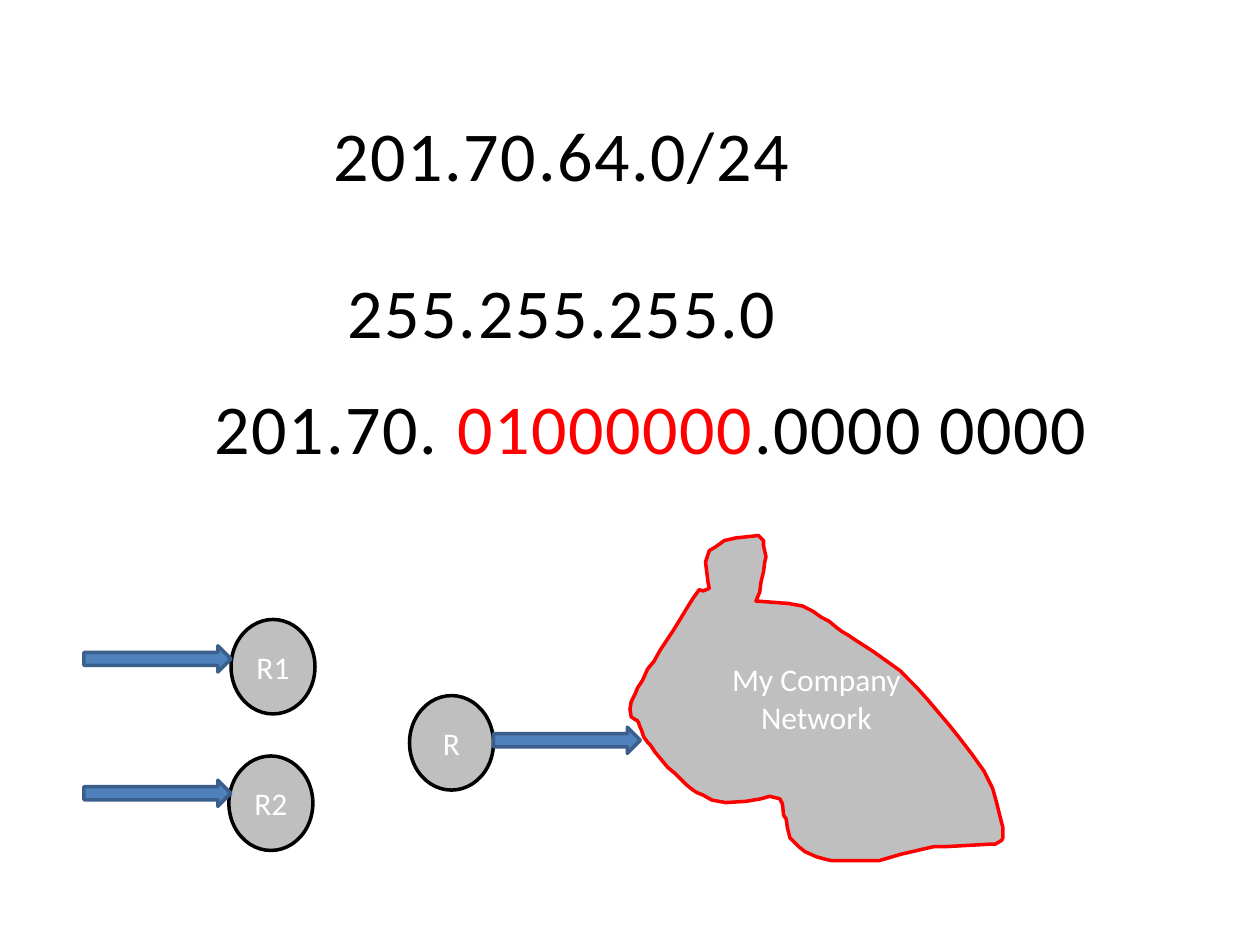
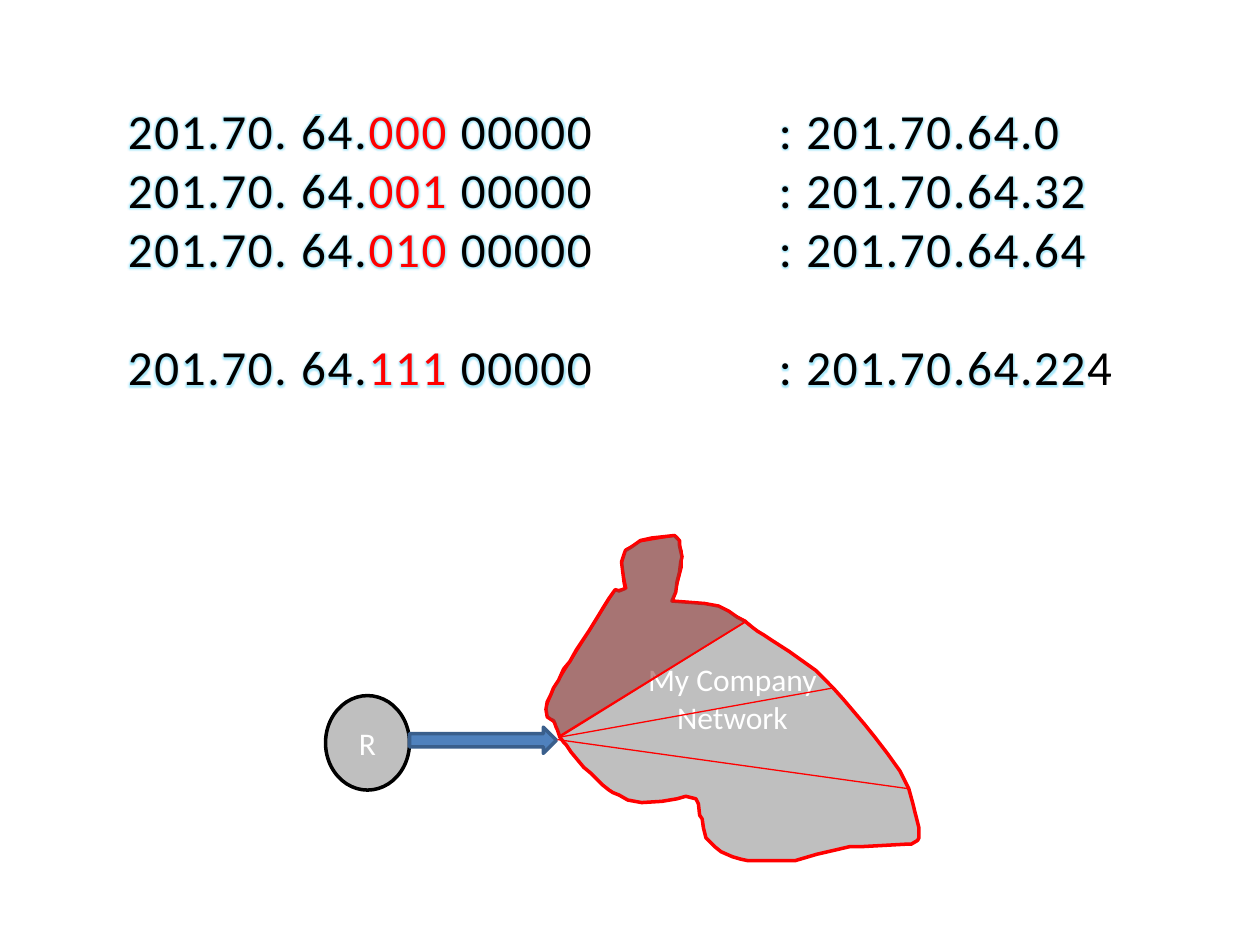
import lxml.etree
import pptx
import pptx.dml.color
import pptx.enum.shapes
import pptx.enum.text
import pptx.oxml.ns
import pptx.util

FONT = "Calibri"
BLACK, WHITE, RED, GREY = "000000", "FFFFFF", "FF0000", "BFBFBF"
ARROW_FILL, ARROW_LINE = "4F81BD", "3A5F8C"
SUBNET_FILL, GLOW = "953735", "06BDF1"
SHAPES = pptx.enum.shapes.MSO_SHAPE
ALIGN = pptx.enum.text.PP_ALIGN
qn = pptx.oxml.ns.qn

presentation = pptx.Presentation()
presentation.slide_width = pptx.util.Inches(10)
presentation.slide_height = pptx.util.Inches(7.5)
UNIT = presentation.slide_width // 120       # grid of 120 columns by 90 rows
HUNDREDTH = presentation.slide_width // 1000  # scale of the outlines


def color(hex_string):
    return pptx.dml.color.RGBColor.from_string(hex_string)


def finish(shape, fill, line, width, lines=()):
    """Fill and outline a shape and write its centred lines."""
    shape.shadow.inherit = False
    shape.fill.solid()
    shape.fill.fore_color.rgb = color(fill)
    shape.line.color.rgb = color(line)
    shape.line.width = pptx.util.Pt(width)
    frame = shape.text_frame
    frame.word_wrap = False
    frame.vertical_anchor = pptx.enum.text.MSO_ANCHOR.MIDDLE
    for index, text in enumerate(lines):
        paragraph = frame.add_paragraph() if index else frame.paragraphs[0]
        paragraph.text = text
        paragraph.alignment = ALIGN.CENTER
        paragraph.font.name = FONT
        paragraph.font.size = pptx.util.Pt(18)
        paragraph.font.color.rgb = color(WHITE)


blank = presentation.slide_layouts[6]
routing_slide = presentation.slides.add_slide(blank)
subnet_slide = presentation.slides.add_slide(blank)

# Address texts: every line is a list of (text, colour) runs
subnets = [("000", "0"), ("001", "32"), ("010", "64"), ("111", "224")]
binary_lines = [[("201.70. 64.", BLACK), (bits, RED), (" 00000", BLACK)]
                for bits, host in subnets]
decimal_lines = [[(": 201.70.64." + host, BLACK)] for bits, host in subnets]
mixed_line = [("201.70. ", BLACK), ("01000000", RED), (".0000 0000", BLACK)]

# slide, (left, top, width, height) in grid units, size, alignment, wrap, lines
texts = [
    (routing_slide, (18, 25, 71, 9.25), 40, ALIGN.CENTER, True, [[("255.255.255.0", BLACK)]]),
    (routing_slide, (18, 10, 71, 9.25), 40, ALIGN.CENTER, True, [[("201.70.64.0/24", BLACK)]]),
    (routing_slide, (11, 36, 102, 9.25), 40, ALIGN.CENTER, True, [mixed_line]),
    (subnet_slide, (11, 9, 85, 29.5), 28, ALIGN.LEFT, True, binary_lines),
    (subnet_slide, (73, 9, 35, 29.5), 28, ALIGN.LEFT, False, decimal_lines),
]
for slide, box, size, alignment, wrap, lines in texts:
    frame = slide.shapes.add_textbox(*[int(value * UNIT) for value in box]).text_frame
    frame.word_wrap = wrap
    frame.auto_size = pptx.enum.text.MSO_AUTO_SIZE.SHAPE_TO_FIT_TEXT
    for index, runs in enumerate(lines):
        paragraph = frame.add_paragraph() if index else frame.paragraphs[0]
        paragraph.alignment = alignment
        paragraph.font.name = FONT
        paragraph.font.size = pptx.util.Pt(size)
        if index == 3:  # one line of space stands for the skipped subnets
            paragraph.space_before = pptx.util.Pt(34)
        for text, run_color in runs:
            run = paragraph.add_run()
            run.text = text
            run.font.color.rgb = color(run_color)
            properties = run.font._element
            properties.set("spc", "100")
            if slide is subnet_slide:
                effects = lxml.etree.SubElement(properties, qn("a:effectLst"))
                glow = lxml.etree.SubElement(effects, qn("a:glow"), rad="45500")
                glow_color = lxml.etree.SubElement(glow, qn("a:srgbClr"), val=GLOW)
                lxml.etree.SubElement(glow_color, qn("a:alpha"), val="35000")

# Outlines, in hundredths of an inch from the network's top left corner
network_outline = [
    (55, 43), (50, 50), (45, 58), (42, 63), (34, 76), (24, 91), (19, 100),
    (14, 106), (10, 115), (6, 121), (4, 126), (1, 132), (0, 138), (1, 144),
    (4, 146), (6, 147), (7, 149), (8, 152), (9, 154), (11, 160), (14, 164),
    (16, 166), (20, 172), (30, 184), (36, 189), (41, 194), (45, 198),
    (50, 202), (53, 204), (58, 206), (65, 210), (76, 212), (92, 211),
    (104, 209), (111, 207), (119, 209), (121, 213), (122, 222), (124, 225),
    (125, 232), (127, 240), (129, 242), (134, 247), (139, 251), (148, 255),
    (155, 257), (160, 258), (198, 258), (215, 253), (241, 247), (250, 247),
    (286, 245), (290, 245), (295, 242), (296, 240), (296, 232), (294, 224),
    (293, 220), (291, 212), (288, 201), (281, 187), (271, 173), (261, 160),
    (253, 150), (236, 130), (228, 121), (214, 107), (193, 92), (179, 83),
    (173, 79), (168, 76), (164, 73), (158, 68), (152, 65), (145, 60),
    (137, 56), (126, 54), (100, 52), (103, 45), (104, 37), (106, 29),
    (107, 21), (108, 17), (106, 8), (106, 4), (102, 0), (84, 2), (75, 4),
    (68, 9), (63, 12), (60, 21), (62, 37), (63, 42), (58, 44),
]
subnet_outline = [
    (11, 159), (159, 68), (137, 56), (119, 53), (101, 52), (108, 25),
    (108, 13), (105, 2), (103, 0), (74, 5), (63, 11), (60, 24), (64, 42),
    (58, 43), (55, 43), (7, 120), (0, 137), (1, 144), (7, 149),
]
dividers = [((11, 160), (159, 68)), ((11, 160), (228, 121)), ((9, 162), (288, 201))]
network_top = 51 * UNIT

# Routers, arrows and network; the second diagram stands 8 columns further left
diagrams = [
    (routing_slide.shapes, 60,
     [("R1", 22, 59), ("R2", 21.8, 72), ("R", 39, 66.25)],
     [(8, 61.5), (8, 74.3), (47, 69.25)]),
    (subnet_slide.shapes.add_group_shape().shapes, 52,
     [("R", 31, 66.25)], [(39, 69.25)]),
]
for shapes, network_column, routers, arrows in diagrams:
    for name, column, row in routers:
        router = shapes.add_shape(SHAPES.OVAL, int(column * UNIT), int(row * UNIT),
                                  8 * UNIT, 9 * UNIT)
        finish(router, GREY, BLACK, 2, [name])
    builder = shapes.build_freeform(*network_outline[0], scale=HUNDREDTH)
    builder.add_line_segments(network_outline[1:], close=True)
    network = builder.convert_to_shape(network_column * UNIT, network_top)
    finish(network, GREY, RED, 2, ["My Company", "Network"])
    for column, row in arrows:
        arrow = shapes.add_shape(SHAPES.RIGHT_ARROW, int(column * UNIT), int(row * UNIT),
                                 14 * UNIT, int(2.5 * UNIT))
        finish(arrow, ARROW_FILL, ARROW_LINE, 2)

# Subnet borders inside the network
network_left = network_column * UNIT
for (start_x, start_y), (end_x, end_y) in dividers:
    divider = shapes.add_connector(
        pptx.enum.shapes.MSO_CONNECTOR.STRAIGHT,
        network_left + start_x * HUNDREDTH, network_top + start_y * HUNDREDTH,
        network_left + end_x * HUNDREDTH, network_top + end_y * HUNDREDTH)
    divider.line.color.rgb = color(RED)
    divider.line.width = pptx.util.Pt(0.75)
    lxml.etree.SubElement(divider._element.spPr, qn("a:effectLst"))

# First subnet, see-through
builder = subnet_slide.shapes.build_freeform(*subnet_outline[0], scale=HUNDREDTH)
builder.add_line_segments(subnet_outline[1:], close=True)
subnet = builder.convert_to_shape(network_left, network_top)
finish(subnet, SUBNET_FILL, RED, 1)
fill_color = subnet._element.spPr.find(qn("a:solidFill")).find(qn("a:srgbClr"))
lxml.etree.SubElement(fill_color, qn("a:alpha"), val="55000")

presentation.save("out.pptx")
